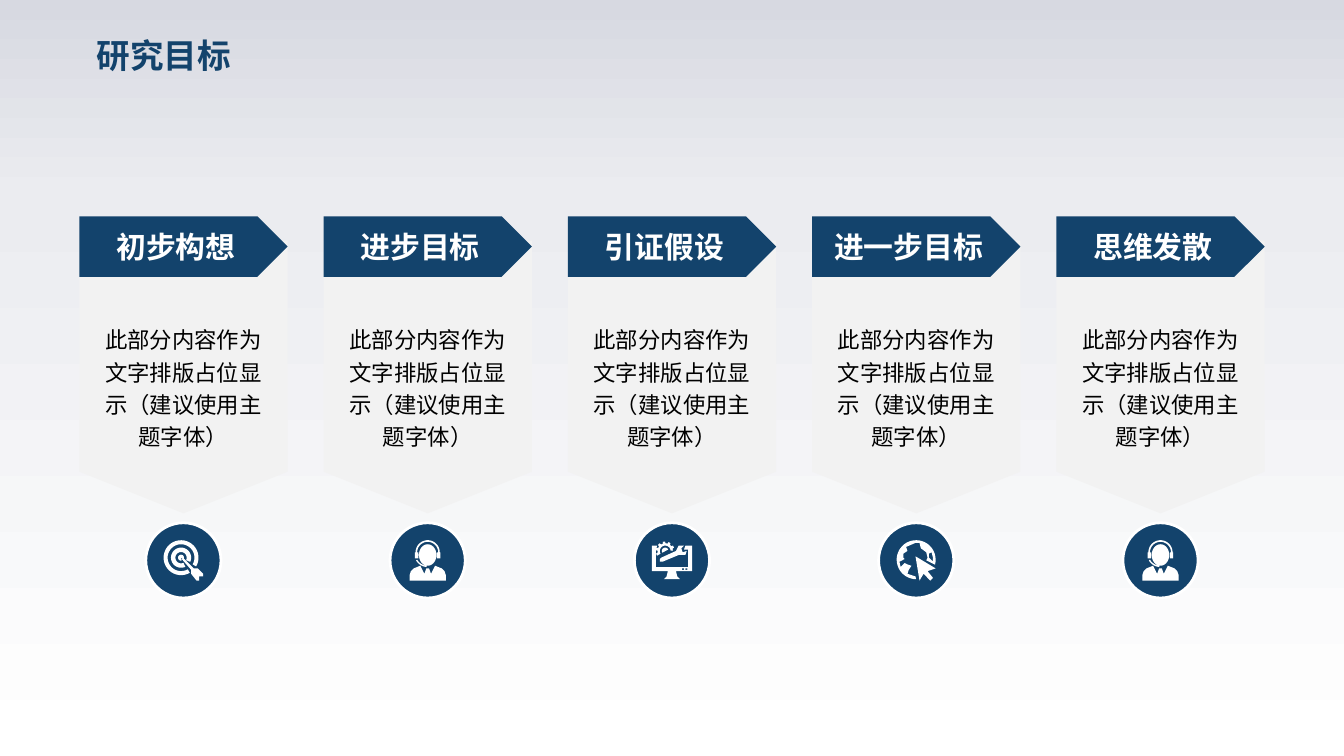
from copy import deepcopy
from math import cos, radians, sin

from pptx import Presentation
from pptx.dml.color import RGBColor
from pptx.enum.shapes import MSO_SHAPE
from pptx.enum.text import MSO_ANCHOR, MSO_AUTO_SIZE, PP_ALIGN
from pptx.util import Inches, Pt

NAVY, PALE, WHITE, BLACK = "13436C", "F2F2F2", "FFFFFF", "000000"
FONT = "Arial"
BODY = "此部分内容作为文字排版占位显示（建议使用主题字体）"


def rgb(value):
    return RGBColor.from_string(value)


def paint(sp, fill, line=None):
    sp.shadow.inherit = False
    sp.fill.solid()
    sp.fill.fore_color.rgb = rgb(fill)
    if line:
        sp.line.color.rgb = rgb(line)
        sp.line.width = Pt(1.5)
    else:
        sp.line.fill.background()


def add_shape(shapes, kind, x, y, w, h, fill, line=None):
    sp = shapes.add_shape(kind, Inches(x), Inches(y), Inches(w), Inches(h))
    paint(sp, fill, line)
    return sp


def write(tf, text, size, color, bold=False, align=PP_ALIGN.CENTER):
    tf.text = text
    p = tf.paragraphs[0]
    p.alignment = align
    font = p.runs[0].font
    font.name, font.size, font.bold = FONT, Pt(size), bold
    font.color.rgb = rgb(color)
    return p


def arc(cx, cy, rx, ry, start=0, end=360, steps=36):
    angles = [radians(start + (end - start) * i / steps) for i in range(steps + 1)]
    return [(cx + rx * cos(a), cy + ry * sin(a)) for a in angles]


def band(cx, cy, outer, inner, start, end):
    return arc(cx, cy, outer, outer, start, end) + arc(cx, cy, inner, inner, end, start)


def rect(x, y, w, h):
    return [(x, y), (x + w, y), (x + w, y + h), (x, y + h)]


def target_icon():
    arrow = [(13, 14), (14, 13), (22, 21), (25, 21), (29, 25), (29, 27), (26, 27),
             (26, 30), (24, 30), (20, 25), (20, 22)]
    return [band(12.5, 13, 13, 10, 60, 390), band(12.5, 13, 7.5, 4.2, 65, 385),
            band(12.5, 13, 2.2, 0, 80, 370), arrow]


def agent_icon():
    body = [(0, 30), (0, 26), (1, 23), (3, 21), (8, 19), (11, 25), (12.5, 21),
            (14.5, 21), (16, 25), (19, 19), (24, 21), (26, 23), (27, 26), (27, 30)]
    return [body, arc(13.5, 11, 6.5, 8), band(13.5, 9, 9, 7.8, 180, 360),
            band(13.5, 10, 10, 9, 95, 150), rect(4, 9, 2.6, 4.5), rect(20.4, 9, 2.6, 4.5)]


def monitor_icon():
    frame = [(0, 3), (4, 3), (3, 6), (3, 19), (27, 19), (27, 6), (24, 6), (25, 3),
             (30, 3), (30, 22), (0, 22)]
    stand = [(12, 22), (18, 22), (19, 26), (21, 28), (9, 28), (11, 26)]
    wrench = [(6, 13), (7, 12), (18, 7), (20, 3), (24, 3), (22, 5), (23, 8), (26, 7),
              (25, 10), (20, 10), (8, 15), (6, 15)]
    teeth = []
    for i in range(6):
        a = 150 + 35 * i
        teeth += arc(10, 7, 7, 7, a, a + 14, 3) + arc(10, 7, 5.7, 5.7, a + 18, a + 32, 3)
    gear = teeth + arc(10, 7, 4, 4, 357, 150)
    return [frame, stand, wrench, gear, arc(10, 7, 2.5, 2.5, 150, 335),
            rect(22.5, 20, 1.5, 1), rect(25, 20, 1.5, 1)]


def globe_icon():
    coast = [(22, 15), (23, 13), (22, 9), (18, 6), (17, 2), (14, 2), (7, 5), (8, 8),
             (5, 10), (5, 13), (6, 14), (2, 16), (3, 20), (6, 17), (8, 18), (11, 19),
             (9, 22), (8, 25), (14, 27)]
    island = [(26, 9), (24, 10), (24, 13), (25, 14), (27, 16), (27, 13)]
    cursor = [(14, 12), (29, 21), (23, 23), (27, 28), (25, 30), (20, 25), (17, 30)]
    return [arc(14.5, 14.5, 14.5, 14.5, 90, 375) + coast, island, cursor]


def add_icon(shapes, contours, x, y):
    def place(points):
        return [(Inches(x + px / 100), Inches(y + py / 100)) for px, py in points]

    first, *rest = map(place, contours)
    builder = shapes.build_freeform(*first[0], scale=1.0)
    builder.add_line_segments(first[1:], close=True)
    for points in rest:
        builder.move_to(*points[0])
        builder.add_line_segments(points[1:], close=True)
    paint(builder.convert_to_shape(), WHITE)


def add_card(s, x, y, w, label):
    shapes = s.shapes.add_group_shape().shapes
    length = 2.03
    plate = add_shape(shapes, MSO_SHAPE.PENTAGON, x + (w - length) / 2, y + 0.42 + (w - w) / 2,
                      length, w, PALE)
    plate.rotation = 90
    plate.adjustments[0] = 0.2
    tag = add_shape(shapes, MSO_SHAPE.PENTAGON, x, y, w, 0.45, NAVY)
    tf = tag.text_frame
    tf.word_wrap = False
    tf.vertical_anchor = MSO_ANCHOR.MIDDLE
    write(tf, label, 16, WHITE, True)
    tb = shapes.add_textbox(Inches(x + 0.11), Inches(y + 0.78), Inches(w - 0.22), Inches(0.97))
    tf = tb.text_frame
    tf.word_wrap = True
    tf.auto_size = MSO_AUTO_SIZE.SHAPE_TO_FIT_TEXT
    tf.margin_left = tf.margin_right = tf.margin_top = tf.margin_bottom = 0
    write(tf, BODY, 12, BLACK).line_spacing = 1.2


def add_badge(s, x, y, size, contours):
    shapes = s.shapes.add_group_shape().shapes
    add_shape(shapes, MSO_SHAPE.OVAL, x, y, size, size, NAVY, WHITE)
    xs, ys = zip(*[point for points in contours for point in points])
    add_icon(shapes, contours, x + size / 2 - (min(xs) + max(xs)) / 200,
             y + size / 2 - (min(ys) + max(ys)) / 200)


def add_title(s, x, y, w, h, text):
    tf = s.shapes.add_textbox(Inches(x), Inches(y), Inches(w), Inches(h)).text_frame
    tf.word_wrap = False
    tf.auto_size = MSO_AUTO_SIZE.SHAPE_TO_FIT_TEXT
    write(tf, text, 18, NAVY, True, PP_ALIGN.LEFT)


def set_background(s):
    fill = s.background.fill
    fill.gradient()
    fill.gradient_angle = 270
    stops = fill._fill._gradFill.gsLst
    stops.insert(1, deepcopy(stops[0]))
    colors = [(0, "D7D9E1"), (0.26, "EBECF0"), (1, WHITE)]
    for stop, (position, color) in zip(fill.gradient_stops, colors):
        stop.position = position
        stop.color.rgb = rgb(color)


def main():
    prs = Presentation()
    prs.slide_width, prs.slide_height = Inches(10), Inches(10 * 9 / 16)
    s = prs.slides.add_slide(prs.slide_layouts[6])
    set_background(s)
    steps = [("初步构想", target_icon), ("进步目标", agent_icon), ("引证假设", monitor_icon),
             ("进一步目标", globe_icon), ("思维发散", agent_icon)]
    left, top, width, badge = 0.59, 1.61, 1.55, 0.56
    pitch = (7.86 - left) / (len(steps) - 1)
    for i, (label, icon) in enumerate(steps):
        x = left + i * pitch
        add_card(s, x, top, width, label)
        add_badge(s, x + (width - badge) / 2, 3.89, badge, icon())
    add_title(s, 0.62, 0.21, 1.21, 0.4, "研究目标")
    prs.save("out.pptx")


if __name__ == "__main__":
    main()
